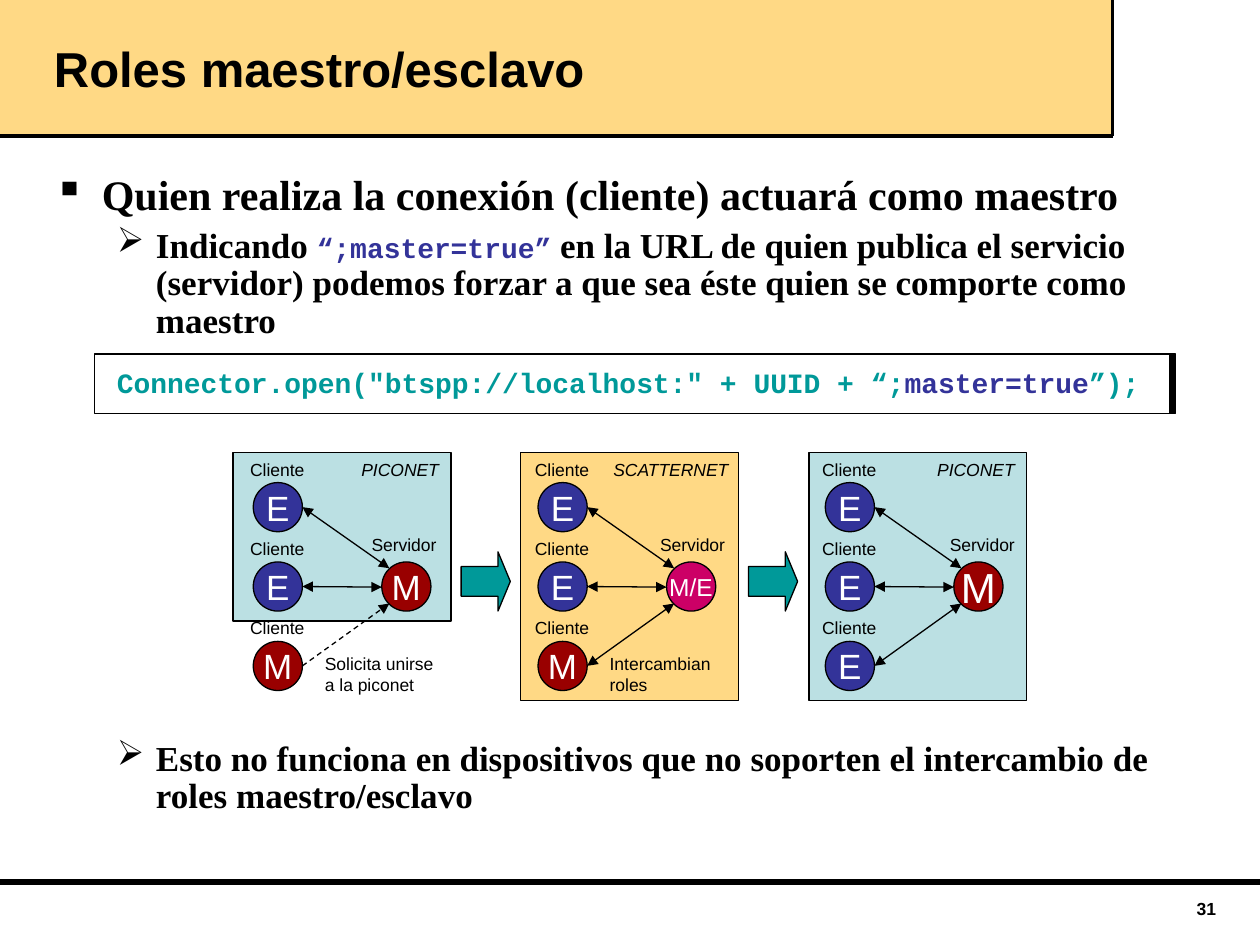
from lxml import etree
from pptx import Presentation
from pptx.dml.color import RGBColor
from pptx.enum.dml import MSO_LINE
from pptx.enum.shapes import MSO_CONNECTOR, MSO_SHAPE
from pptx.enum.text import MSO_ANCHOR, PP_ALIGN
from pptx.oxml.ns import qn
from pptx.util import Inches, Pt

RECTANGLE, OVAL, ARROW = MSO_SHAPE.RECTANGLE, MSO_SHAPE.OVAL, MSO_SHAPE.RIGHT_ARROW
STRAIGHT, DASH = MSO_CONNECTOR.STRAIGHT, MSO_LINE.DASH
LEFT, CENTER, RIGHT = PP_ALIGN.LEFT, PP_ALIGN.CENTER, PP_ALIGN.RIGHT
TOP, MIDDLE = MSO_ANCHOR.TOP, MSO_ANCHOR.MIDDLE

COLORS = {
    "black": "000000", "white": "FFFFFF", "sand": "FFD985", "ice": "BBE0E3",
    "blue": "333399", "red": "990000", "pink": "CC0066", "teal": "009999",
}
SANS, SERIF, MONO = "Arial", "Times New Roman", "Courier New"

COLUMNS, ROWS = 10, 7.5
CELL = Inches(1)
PANEL_TOP, PANEL_WIDTH = 3.59, 1.73
NODE_SIZE, NODE_TOP, NODE_PITCH = 0.39, 3.83, 0.63
NODE_COLORS = {"E": "blue", "M": "red", "M/E": "pink"}
BULLETS = [("▪", 0.38, 0.38), ("➢", 0.81, 0.31)]

PANELS = [
    {"left": 1.85, "height": 1.34, "fill": "ice", "clients": "EEM", "nodes": 2.01,
     "server": ("M", 20), "server_label": 2.85, "network": ("PICONET", 2.77),
     "note": "Solicita unirse a la piconet", "joining": True},
    {"left": 4.13, "height": 1.97, "fill": "sand", "clients": "EEM", "nodes": 4.27,
     "server": ("M/E", 14), "server_label": 5.14, "network": ("SCATTERNET", 4.77),
     "note": "Intercambian roles", "joining": False},
    {"left": 6.42, "height": 1.97, "fill": "ice", "clients": "EEE", "nodes": 6.55,
     "server": ("M", 24), "server_label": 7.44, "network": ("PICONET", 7.34),
     "note": None, "joining": False},
]


def cells(*counts):
    """Turn counts of grid cells into slide lengths."""
    return [round(count * CELL) for count in counts]


def color(name):
    """Look up a named colour."""
    return RGBColor.from_string(COLORS[name])


def style(span, size, font=SANS, ink="black", bold=False, italic=False):
    """Format one run."""
    span.font.size, span.font.name = Pt(size), font
    span.font.bold, span.font.italic = bold, italic
    span.font.color.rgb = color(ink)


def add_block(slide, kind, area, fill, outlined=True):
    """Add a filled preset shape."""
    block = slide.shapes.add_shape(kind, *cells(*area))
    block.shadow.inherit = False
    block.fill.solid()
    block.fill.fore_color.rgb = color(fill)
    if outlined:
        block.line.color.rgb = color("black")
        block.line.width = Pt(0.75)
    else:
        block.line.fill.background()
    return block


def add_line(slide, start, end, width=0.75, ends=(), dashed=False):
    """Add a straight line with triangles at the named ends."""
    line = slide.shapes.add_connector(STRAIGHT, *cells(*start, *end))
    line.line.color.rgb = color("black")
    line.line.width = Pt(width)
    if dashed:
        line.line.dash_style = DASH
    outline = line.line._get_or_add_ln()
    for end_name in ends:
        etree.SubElement(outline, qn(f"a:{end_name}"), type="triangle")
    etree.SubElement(line._element.spPr, qn("a:effectLst"))


def add_frame(slide, area, anchor=TOP):
    """Add a wrapping text box and return its text frame."""
    frame = slide.shapes.add_textbox(*cells(*area)).text_frame
    frame.word_wrap = True
    frame.vertical_anchor = anchor
    return frame


def add_label(slide, area, text, size=10, align=LEFT, anchor=TOP, **look):
    """Add a text box with one formatted run."""
    para = add_frame(slide, area, anchor).paragraphs[0]
    para.text, para.alignment = text, align
    style(para.runs[0], size, **look)


def fill_para(para, spans):
    """Write spans of text, size, font and colour into a paragraph."""
    para.line_spacing = 0.9
    for text, *look in spans:
        span = para.add_run()
        span.text = text
        style(span, *look, bold=True)


def add_bullets(slide, area, items):
    """Add a bulleted list of level and spans."""
    frame = add_frame(slide, area)
    for index, (level, spans) in enumerate(items):
        para = frame.add_paragraph() if index else frame.paragraphs[0]
        fill_para(para, spans)
        para.space_before = Pt(6 - level)
        symbol, margin, hanging = BULLETS[level]
        margin, hanging = cells(margin, hanging)
        settings = para._p.get_or_add_pPr()
        settings.set("marL", str(margin))
        settings.set("indent", str(-hanging))
        etree.SubElement(settings, qn("a:buChar"), char=symbol)


def add_node(slide, left, top, role, size=20):
    """Add a circle that shows a device role."""
    node = add_block(slide, OVAL, (left, top, NODE_SIZE, NODE_SIZE), NODE_COLORS[role])
    frame = node.text_frame
    frame.text, frame.word_wrap, frame.vertical_anchor = role, False, MIDDLE
    frame.paragraphs[0].alignment = CENTER
    style(frame.paragraphs[0].runs[0], size, ink="white")


def add_panel(slide, panel):
    """Add one network with its clients, server and links."""
    add_block(slide, RECTANGLE, (panel["left"], PANEL_TOP, PANEL_WIDTH, panel["height"]), panel["fill"])
    nodes = panel["nodes"]
    server = nodes + 1.02
    server_top = NODE_TOP + NODE_PITCH
    server_ends = [(server + 0.06, 4.51), (server, 4.66), (server + 0.06, 4.79)]
    for row, (role, server_end) in enumerate(zip(panel["clients"], server_ends)):
        top = NODE_TOP + row * NODE_PITCH
        joining = panel["joining"] and row == 2
        add_node(slide, nodes, top, role)
        add_line(slide, (nodes + NODE_SIZE, top + NODE_SIZE / 2), server_end,
                 ends=("tailEnd",) if joining else ("headEnd", "tailEnd"), dashed=joining)
        add_label(slide, (nodes - 0.32, top - 0.24, 1.02, 0.27), "Cliente", align=CENTER)
    role, size = panel["server"]
    add_node(slide, server, server_top, role, size)
    add_label(slide, (panel["server_label"], server_top - 0.27, 1.12, 0.27), "Servidor")
    network, left = panel["network"]
    add_label(slide, (left, PANEL_TOP, 1.26, 0.27), network, italic=True)
    if panel["note"]:
        add_label(slide, (nodes + 0.47, 5.13, 1.12, 0.44), panel["note"])


def add_frame_lines(slide):
    """Add the title band, the rules and the page number."""
    add_block(slide, RECTANGLE, (0, 0, 8.83, 1.08), "sand", outlined=False)
    add_line(slide, (0, 7), (COLUMNS, 7), 3)
    add_line(slide, (0, 1.08), (8.83, 1.08), 2)
    add_line(slide, (8.83, 1.08), (8.83, 0), 2)
    add_label(slide, (0.33, 0, 8.5, 1.08), "Roles maestro/esclavo", 28, anchor=MIDDLE, bold=True)
    add_label(slide, (7.58, 7.08, 2.17, 0.25), "31", align=RIGHT, bold=True)


def add_code(slide):
    """Add the code line on its raised plate."""
    for left, fill in ((0.8, "black"), (0.75, "white")):
        add_block(slide, RECTANGLE, (left, 2.81, 8.53, 0.47), fill)
    frame = add_frame(slide, (0.83, 2.88, 8.45, 0.35))
    fill_para(frame.paragraphs[0], [
        ('Connector.open("btspp://localhost:" + UUID + “;', 16, MONO, "teal"),
        ("master=true", 16, MONO, "blue"),
        ("”);", 16, MONO, "teal"),
    ])


def main():
    """Build and save the deck."""
    deck = Presentation()
    deck.slide_width, deck.slide_height = cells(COLUMNS, ROWS)
    page = deck.slides.add_slide(deck.slide_layouts[6])
    add_frame_lines(page)
    add_bullets(page, (0.33, 1.33, 9.47, 1.45), [
        (0, [("Quien realiza la conexión (cliente) actuará como maestro", 24, SERIF)]),
        (1, [("Indicando ", 20, SERIF), ("“;master=true”", 16, MONO, "blue"),
             (" en la URL de quien publica el servicio (servidor) podemos forzar a que "
              "sea éste quien se comporte como maestro", 20, SERIF)]),
    ])
    add_code(page)
    for panel in PANELS:
        add_panel(page, panel)
    for panel in PANELS[:-1]:
        arrow = add_block(page, ARROW, (panel["left"] + PANEL_WIDTH + 0.08, 4.38, 0.39, 0.47), "teal")
        arrow.adjustments[0], arrow.adjustments[1] = 0.5, 0.25
    add_bullets(page, (0.33, 5.83, 9.47, 0.75), [
        (1, [("Esto no funciona en dispositivos que no soporten el intercambio de "
              "roles maestro/esclavo", 20, SERIF)]),
    ])
    deck.save("out.pptx")


if __name__ == "__main__":
    main()
